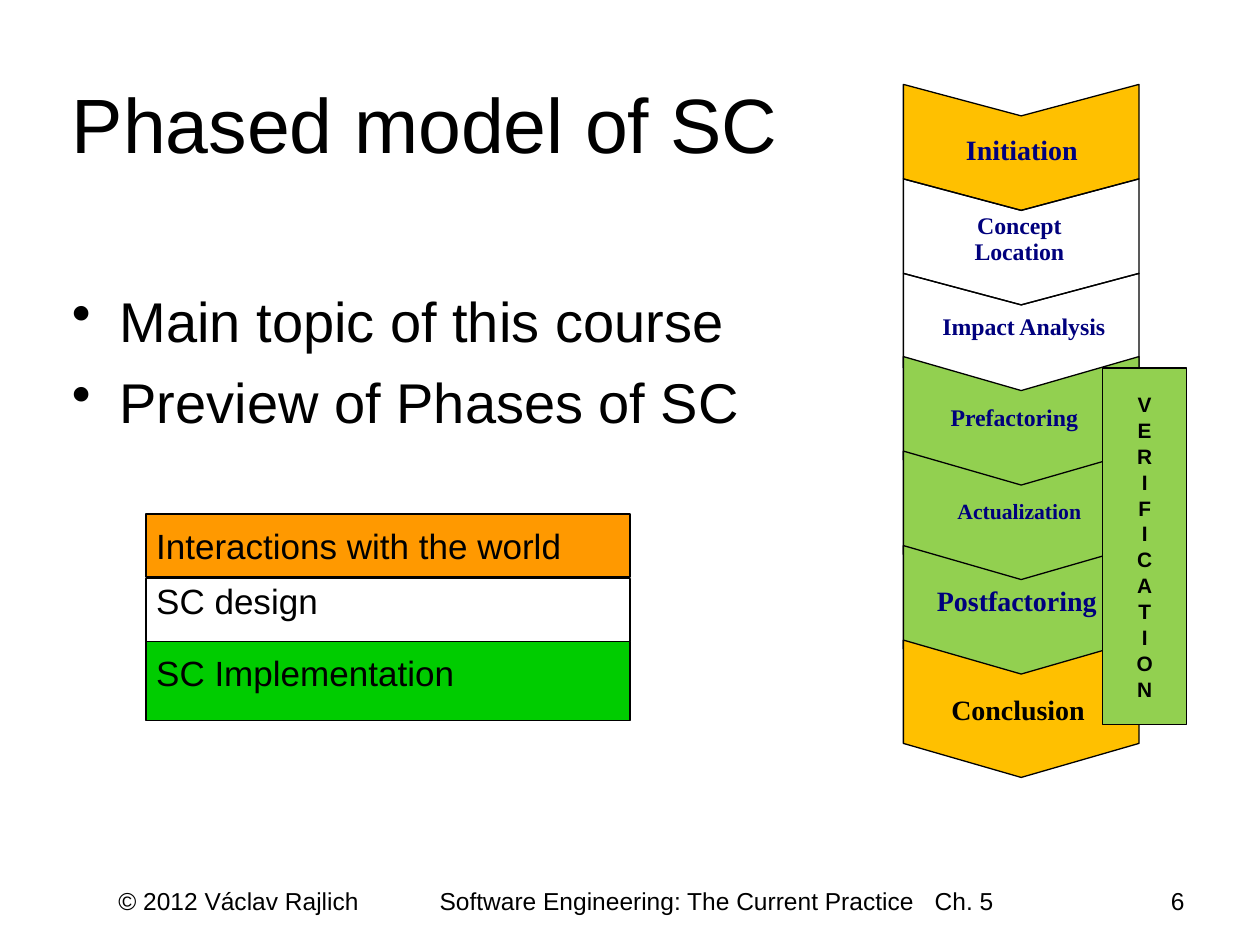
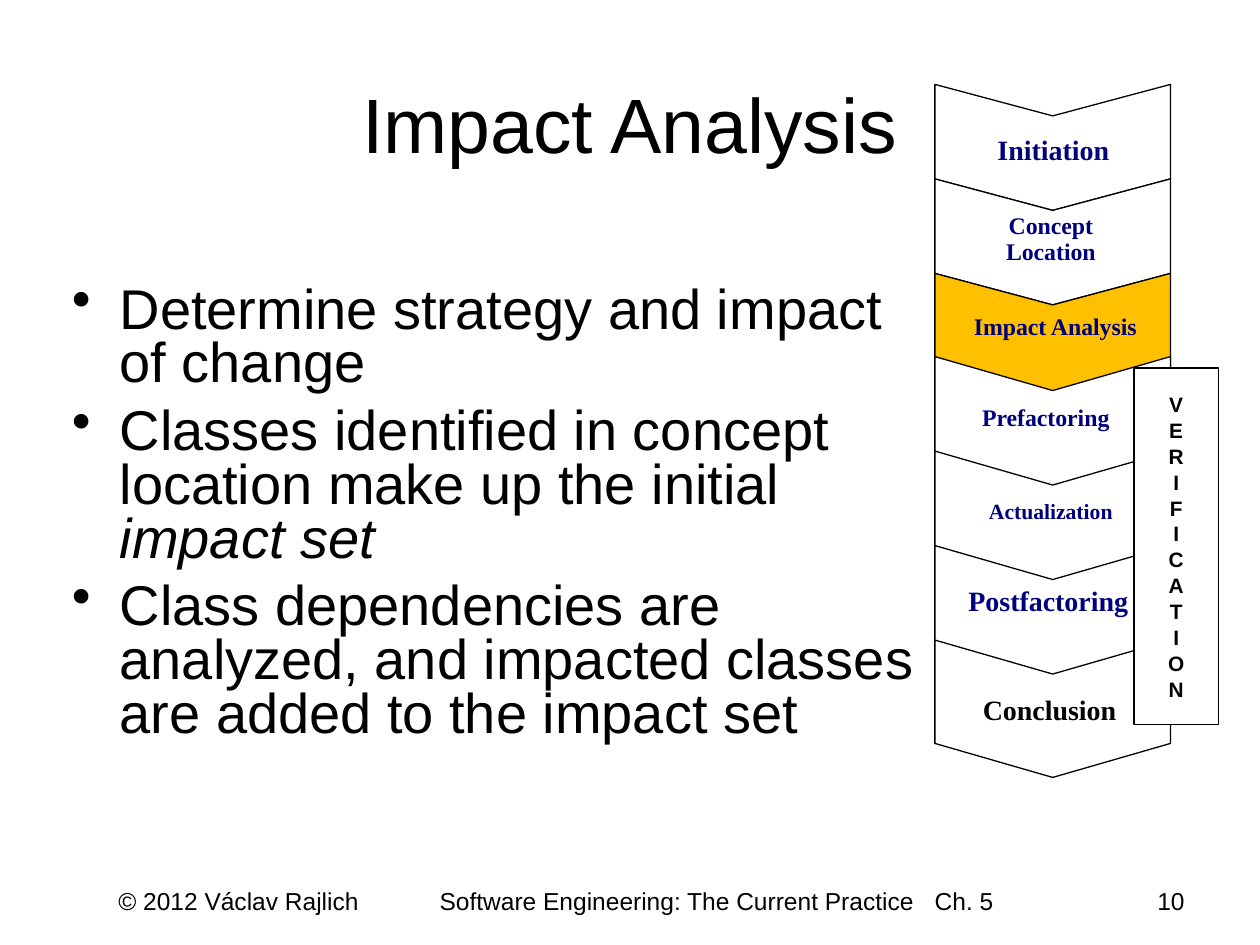
from lxml import etree
from pptx import Presentation
from pptx.dml.color import RGBColor
from pptx.enum.shapes import MSO_SHAPE
from pptx.enum.text import MSO_ANCHOR, PP_ALIGN
from pptx.oxml.ns import qn
from pptx.util import Inches, Pt

BLACK = RGBColor(0x00, 0x00, 0x00)
WHITE = RGBColor(0xFF, 0xFF, 0xFF)
NAVY = RGBColor(0x00, 0x00, 0x7D)
AMBER = RGBColor(0xFF, 0xC0, 0x00)
LIME = RGBColor(0x92, 0xD0, 0x50)
ORANGE = RGBColor(0xFF, 0x99, 0x00)
GREEN = RGBColor(0x00, 0xCC, 0x00)
LEFT, CENTER, RIGHT = PP_ALIGN.LEFT, PP_ALIGN.CENTER, PP_ALIGN.RIGHT
TOP, MIDDLE = MSO_ANCHOR.TOP, MSO_ANCHOR.MIDDLE
RECTANGLE = MSO_SHAPE.RECTANGLE

FOOTER = "© 2012 Václav Rajlich\tSoftware Engineering: The Current Practice\tCh. 5"
FOOTER_TABS = (2.55, 6.48)
INDENT = 0.38
CHEVRON_WIDTH = 1.87
CHEVRON_STEP = 0.75

# Label, offset from the chevron's left edge, top, width, height, size, line spacing, colour
PHASES = [
    ("Initiation", 0.25, 1.0, 1.38, 0.38, 16, 1.0, NAVY),
    ("Concept Location", 0.11, 1.65, 1.62, 0.58, 13.6, 0.9, NAVY),
    ("Impact Analysis", 0.08, 2.45, 1.75, 0.34, 13.6, 0.9, NAVY),
    ("Prefactoring", 0.11, 3.17, 1.54, 0.34, 13.6, 0.9, NAVY),
    ("Actualization", 0.15, 3.94, 1.54, 0.31, 12.4, 0.8, NAVY),
    ("Postfactoring", 0, 4.58, 1.8, 0.64, 16, 1.0, NAVY),
    ("Conclusion", 0.14, 5.45, 1.54, 0.37, 16, 1.0, BLACK),
]

# Text, top, height, top inset, fill
LEGEND = [
    ("SC design", 4.59, 0.5, 0.01, None),
    ("Interactions with the world", 4.08, 0.5, 0.08, ORANGE),
    ("SC Implementation", 5.09, 0.63, 0.08, GREEN),
]

SLIDES = [
    {
        "title": "Phased model of SC", "title_align": LEFT, "number": "6",
        "body_width": 7.25, "body_spacing": 1.0,
        "bullets": [[("Main topic of this course", False)],
                    [("Preview of Phases of SC", False)]],
        "legend": LEGEND,
        "chevron_left": 7.17,
        "fills": [AMBER, None, None, LIME, LIME, LIME, AMBER],
        "verification": LIME,
    },
    {
        "title": "Impact Analysis", "title_align": CENTER, "number": "10",
        "body_width": 7, "body_spacing": 0.8,
        "bullets": [
            [("Determine strategy and impact of change", False)],
            [("Classes identified in concept location make up the initial", False),
             (" impact set", True)],
            [("Class dependencies are analyzed, and impacted classes "
              "are added to the impact set", False)]],
        "legend": [],
        "chevron_left": 7.42,
        "fills": [WHITE, WHITE, AMBER, WHITE, WHITE, WHITE, WHITE],
        "verification": WHITE,
    },
]


def outline(shape, fill):
    shape.shadow.inherit = False
    if fill is None:
        shape.fill.background()
    else:
        shape.fill.solid()
        shape.fill.fore_color.rgb = fill
    shape.line.color.rgb = BLACK
    shape.line.width = Pt(0.75)


def write(shape, paragraphs, size, align=LEFT, anchor=TOP, inset=(0.1, 0.05), font="Arial",
          color=BLACK, bold=False, spacing=1.0, before=0, bullet=False, tabs=()):
    """Fill a shape with paragraphs, each a list of (text, italic) runs."""
    frame = shape.text_frame
    frame.word_wrap = True
    frame.vertical_anchor = anchor
    frame.margin_left = frame.margin_right = Inches(inset[0])
    frame.margin_top = frame.margin_bottom = Inches(inset[1])
    for index, runs in enumerate(paragraphs):
        paragraph = frame.add_paragraph() if index else frame.paragraphs[0]
        paragraph.alignment = align
        paragraph.line_spacing = spacing
        paragraph.space_before = Pt(before if index else 0)
        properties = paragraph._p.get_or_add_pPr()
        if bullet:
            properties.set("marL", str(Inches(INDENT)))
            properties.set("indent", str(-Inches(INDENT)))
            etree.SubElement(properties, qn("a:buChar")).set("char", "•")
        if tabs:
            tab_list = etree.SubElement(properties, qn("a:tabLst"))
            for position in tabs:
                tab = etree.SubElement(tab_list, qn("a:tab"))
                tab.set("pos", str(Inches(position)))
                tab.set("algn", "l")
        for text, italic in runs:
            run = paragraph.add_run()
            run.text = text
            run.font.name = font
            run.font.size = Pt(size)
            run.font.bold = bold
            run.font.italic = italic
            run.font.color.rgb = color


presentation = Presentation()
presentation.slide_width = Inches(10)
presentation.slide_height = Inches(7.5)

for content in SLIDES:
    shapes = presentation.slides.add_slide(presentation.slide_layouts[6]).shapes

    title = shapes.add_textbox(Inches(0.5), Inches(0.35), Inches(9), Inches(1.25))
    write(title, [[(content["title"], False)]], 44, content["title_align"], MIDDLE, (0.07, 0.05))

    body = shapes.add_textbox(Inches(0.5), Inches(2.17), Inches(content["body_width"]),
                              Inches(4.25))
    write(body, content["bullets"], 32, inset=(0.07, 0.1), spacing=content["body_spacing"],
          before=8, bullet=True)

    footer = shapes.add_textbox(Inches(0.84), Inches(6.98), Inches(7.49), Inches(0.52))
    write(footer, [[(FOOTER, False)]], 14, tabs=FOOTER_TABS)
    number = shapes.add_textbox(Inches(7.17), Inches(6.98), Inches(2.33), Inches(0.52))
    write(number, [[(content["number"], False)]], 14, RIGHT)

    for text, top, height, top_inset, fill in content["legend"]:
        row = shapes.add_shape(RECTANGLE, Inches(1.16), Inches(top), Inches(3.84), Inches(height))
        outline(row, fill)
        write(row, [[(text, False)]], 20, inset=(0.08, top_inset))

    left = content["chevron_left"]
    middle, right = left + CHEVRON_WIDTH / 2, left + CHEVRON_WIDTH
    for index, fill in enumerate(content["fills"]):
        # The first three chevrons are slightly shorter than the rest
        first_top, side, notch = (0.67, 0.75, 0.25) if index < 3 else (0.58, 0.82, 0.27)
        top = first_top + index * CHEVRON_STEP
        bottom = top + side
        points = [(right, bottom), (middle, bottom + notch), (left, bottom),
                  (left, top), (middle, top + notch)]
        builder = shapes.build_freeform(Inches(right), Inches(top))
        builder.add_line_segments([(Inches(x), Inches(y)) for x, y in points], close=True)
        outline(builder.convert_to_shape(), fill)

    for text, offset, top, width, height, size, spacing, color in PHASES:
        label = shapes.add_textbox(Inches(left + offset), Inches(top), Inches(width),
                                   Inches(height))
        write(label, [[(text, False)]], size, CENTER, font="Times New Roman", color=color,
              bold=True, spacing=spacing)

    verification = shapes.add_shape(RECTANGLE, Inches(left + 1.58), Inches(2.92), Inches(0.67),
                                    Inches(2.83))
    outline(verification, content["verification"])
    write(verification, [[(letter, False)] for letter in "VERIFICATION"], 11.9, CENTER, MIDDLE,
          bold=True, spacing=1.04)

presentation.save("out.pptx")
